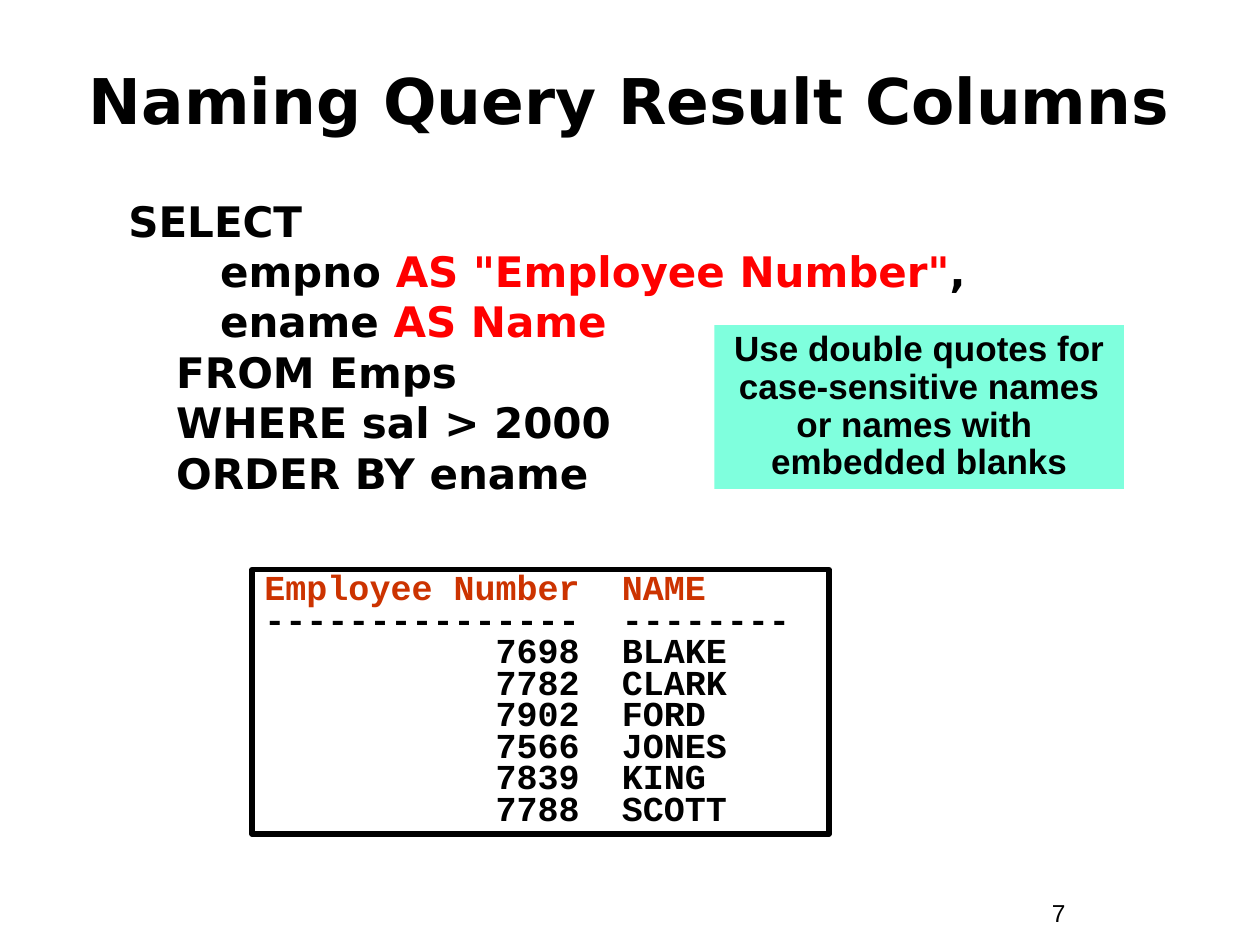
import pptx
import pptx.dml.color
import pptx.enum.shapes
import pptx.enum.text
import pptx.util

Inches = pptx.util.Inches
Pt = pptx.util.Pt
ALIGN = pptx.enum.text.PP_ALIGN
ANCHOR = pptx.enum.text.MSO_ANCHOR

COLORS = {
    "text": "000000",
    "alias": "FF0000",
    "header": "CC3300",
    "callout": "7FFFDD",
}

QUERY = [
    [("SELECT", "text")],
    [("   empno ", "text"), ('AS "Employee Number"', "alias"), (",", "text")],
    [("   ename ", "text"), ("AS Name", "alias")],
    [("FROM Emps", "text")],
    [("WHERE sal > 2000", "text")],
    [("ORDER BY ename", "text")],
]

EMPLOYEES = [
    (7698, "BLAKE"),
    (7782, "CLARK"),
    (7902, "FORD"),
    (7566, "JONES"),
    (7839, "KING"),
    (7788, "SCOTT"),
]


def rgb(name):
    return pptx.dml.color.RGBColor.from_string(COLORS[name])


def format_run(r, font, size, color="text", bold=True):
    r.font.name = font
    r.font.size = Pt(size)
    r.font.bold = bold
    r.font.color.rgb = rgb(color)


def add_text_box(slide, box, anchor=ANCHOR.TOP):
    tf = slide.shapes.add_textbox(*map(Inches, box)).text_frame
    tf.word_wrap = True
    tf.vertical_anchor = anchor
    return tf


def add_rectangle(slide, box):
    sp = slide.shapes.add_shape(
        pptx.enum.shapes.MSO_SHAPE.RECTANGLE, *map(Inches, box))
    sp.shadow.inherit = False
    sp.text_frame.word_wrap = True
    sp.text_frame.vertical_anchor = ANCHOR.TOP
    return sp


def add_title(slide, box, text):
    tf = add_text_box(slide, box, ANCHOR.MIDDLE)
    tf.text = text
    p = tf.paragraphs[0]
    p.alignment = ALIGN.CENTER
    format_run(p.runs[0], "DejaVu Sans", 36)


def add_query(slide, box):
    p = add_text_box(slide, box).paragraphs[0]
    # Hanging indent: clauses after SELECT are set in
    pPr = p._p.get_or_add_pPr()
    pPr.set("marL", str(Inches(0.38)))
    pPr.set("indent", str(-Inches(0.38)))
    for i, line in enumerate(QUERY):
        if i:
            p.add_line_break()
        for text, color in line:
            r = p.add_run()
            r.text = text
            format_run(r, "DejaVu Sans", 24, color)
    # Line breaks take the paragraph's size
    p.font.size = Pt(24)


def add_result(slide, box):
    sp = add_rectangle(slide, box)
    sp.fill.background()
    sp.line.color.rgb = rgb("text")
    sp.line.width = Pt(3)
    rows = [("Employee Number", "NAME"), ("-" * 15, "-" * 8)] + EMPLOYEES
    tf = sp.text_frame
    tf.text = "\n".join(f"{number:>15}  {name}" for number, name in rows)
    for i, p in enumerate(tf.paragraphs):
        p.alignment = ALIGN.LEFT
        p.line_spacing = 0.75
        format_run(p.runs[0], "Courier New", 20, "text" if i else "header")


def add_callout(slide, box):
    sp = add_rectangle(slide, box)
    sp.fill.solid()
    sp.fill.fore_color.rgb = rgb("callout")
    sp.line.fill.background()
    p = sp.text_frame.paragraphs[0]
    p.text = ("Use double quotes for case-sensitive names\v"
              "or names with \vembedded blanks")
    p.alignment = ALIGN.CENTER
    p.line_spacing = 0.9
    for r in p.runs:
        format_run(r, "Arial", 20)


def add_slide_number(slide, box, number):
    tf = add_text_box(slide, box)
    tf.text = str(number)
    format_run(tf.paragraphs[0].runs[0], "Arial", 14, bold=False)


def main():
    prs = pptx.Presentation()
    prs.slide_width = Inches(10)
    prs.slide_height = Inches(7.5)
    slide = prs.slides.add_slide(prs.slide_layouts[6])

    add_slide_number(slide, (8.25, 7.08, 0.92, 0.34), 7)
    add_title(slide, (0.33, 0.33, 9.33, 0.92), "Naming Query Result Columns")
    add_query(slide, (0.92, 1.5, 7.92, 3.04))
    add_result(slide, (2, 4.52, 4.58, 2.1))
    add_callout(slide, (5.67, 2.58, 3.25, 1.3))

    prs.save("out.pptx")


if __name__ == "__main__":
    main()
